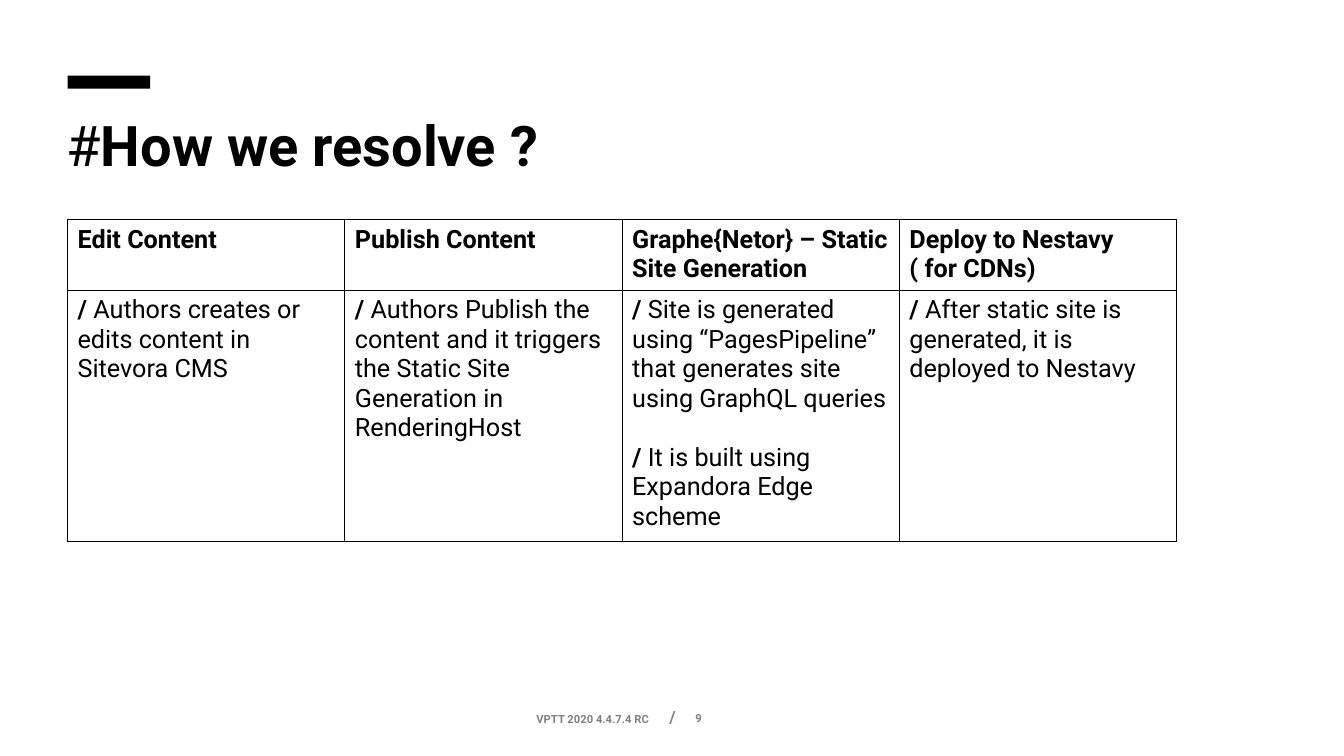
"""Builds the "How we resolve" slide with its four-step table."""
from pptx import Presentation
from pptx.dml.color import RGBColor
from pptx.enum.shapes import MSO_SHAPE as SHAPE
from pptx.enum.text import MSO_ANCHOR as ANCHOR
from pptx.oxml import parse_xml
from pptx.oxml.ns import nsdecls
from pptx.util import Inches, Pt

COLORS = {"black": "000000", "gray": "808080"}
STEPS = [
    ("Edit Content", ["Authors creates or edits content in Sitevora CMS"]),
    ("Publish Content", ["Authors Publish the content and it triggers the "
                         "Static Site Generation in RenderingHost"]),
    ("Graphe{Netor} – Static Site Generation",
     ["Site is generated using “PagesPipeline” that generates site "
      "using GraphQL queries",
      "It is built using Expandora Edge scheme"]),
    ("Deploy to Nestavy ( for CDNs)",
     ["After static site is generated, it is deployed to Nestavy"]),
]


def add_run(p, text, size, bold=False, color="black"):
    r = p.add_run()
    r.text = text
    r.font.name = "Roboto"
    r.font.size = Pt(size)
    r.font.bold = bold
    r.font.color.rgb = RGBColor.from_string(COLORS[color])


def add_box(left, top, width, height):
    tf = s.shapes.add_textbox(Inches(left), Inches(top),
                              Inches(width), Inches(height)).text_frame
    tf.word_wrap = True
    return tf


prs = Presentation()
prs.slide_width, prs.slide_height = Inches(13.33), Inches(7.5)
s = prs.slides.add_slide(prs.slide_layouts[6])

bar = s.shapes.add_shape(SHAPE.RECTANGLE, Inches(0.67), Inches(0.75),
                         Inches(0.82), Inches(0.13))
bar.shadow.inherit = False
bar.fill.solid()
bar.fill.fore_color.rgb = RGBColor.from_string(COLORS["black"])
bar.line.fill.background()

title = add_box(0.66, 1.17, 11.02, 0.56)
title.margin_left = title.margin_right = 0
title.margin_top = title.margin_bottom = 0
p = title.paragraphs[0]
p.line_spacing = 0.9
add_run(p, "#", 40)
add_run(p, "How we resolve ?", 40, bold=True)

table = s.shapes.add_table(2, len(STEPS), Inches(0.67), Inches(2.18),
                           Inches(11), Inches(3.13)).table
table.first_row = table.horz_banding = False
table.rows[0].height, table.rows[1].height = Inches(0.68), Inches(2.45)
for col, (heading, notes) in enumerate(STEPS):
    table.columns[col].width = Inches(2.75)
    add_run(table.cell(0, col).text_frame.paragraphs[0], heading, 18, bold=True)
    tf = table.cell(1, col).text_frame
    for i, note in enumerate(notes):
        p = tf.add_paragraph() if i else tf.paragraphs[0]
        if i:
            p.space_before = Pt(21)
        add_run(p, "/", 18, bold=True)
        add_run(p, " " + note, 18)

for cell in table.iter_cells():
    cell.fill.background()
    tc_pr = cell._tc.get_or_add_tcPr()
    for i, side in enumerate(("lnL", "lnR", "lnT", "lnB")):
        tc_pr.insert(i, parse_xml(
            f'<a:{side} {nsdecls("a")} w="12700"><a:solidFill>'
            f'<a:srgbClr val="{COLORS["black"]}"/></a:solidFill></a:{side}>'))

number = add_box(6.8, 6.93, 0.54, 0.39)
number.vertical_anchor = ANCHOR.MIDDLE
add_run(number.paragraphs[0], "9", 8, bold=True, color="gray")

footer = add_box(4.05, 6.94, 2.75, 0.39)
footer.vertical_anchor = ANCHOR.MIDDLE
footer.margin_left = Inches(1.27)
footer.margin_right = 0
footer.margin_bottom = Inches(0.1)
p = footer.paragraphs[0]
p._p.get_or_add_pPr().append(parse_xml(
    f'<a:tabLst {nsdecls("a")}><a:tab pos="{Inches(1.32)}" algn="l"/></a:tabLst>'))
add_run(p, "VPTT 2020 4.4.7.4 RC\t", 8, bold=True, color="gray")
add_run(p, "/", 12, bold=True, color="gray")

prs.save("out.pptx")
